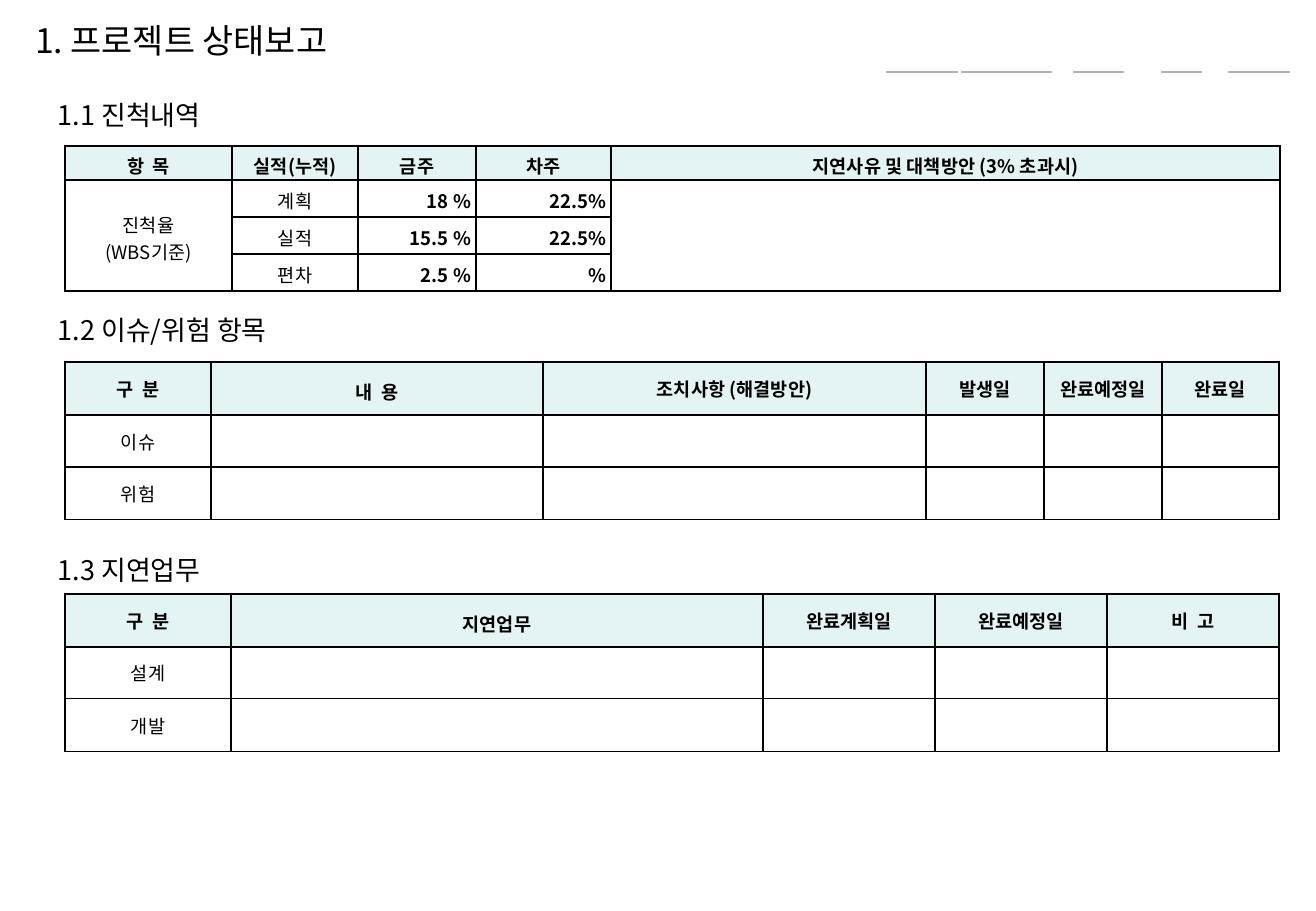
from lxml.etree import SubElement, fromstring
from pptx import Presentation
from pptx.dml.color import RGBColor
from pptx.enum.shapes import MSO_CONNECTOR
from pptx.enum.text import MSO_ANCHOR as ANCHOR, MSO_AUTO_SIZE as FIT, PP_ALIGN as ALIGN
from pptx.oxml.ns import nsdecls, qn
from pptx.util import Emu, Inches, Pt

THEME = {
    "font": "Noto Sans CJK KR",
    "ink": "000000", "header": "E4F4F4", "rule": "B2B2B2",
    "title": 20, "heading": 16, "cell": 11,
    "border": 1, "rule_width": 1.5, "header_tracking": 1.2,
}

TITLE = ("1. 프로젝트 상태보고", (23, 14, 340, 53))
RULE_TOP = 72
RULES = [(886, 958), (961, 1052), (1073, 1124), (1161, 1202), (1228, 1290)]

PROGRESS = {
    "heading": "1.1 진척내역", "heading_top": 92, "table_top": 146,
    "columns": [167, 126, 118, 135, 669], "rows": [34, 37, 37, 37],
    "cells": [
        ["항 목", "실적(누적)", "금주", "차주", "지연사유 및 대책방안 (3% 초과시)"],
        ["진척율\n(WBS기준)", "계획", "18 %", "22.5%", ""],
        ["", "실적", "15.5 %", "22.5%", ""],
        ["", "편차", "2.5 %", "%", ""],
    ],
    "merged": [0, 4], "values": [2, 3], "loose": [],
    "header_insets": (12, 5, 12, 1), "body_insets": (5, 7, 5, 3),
}
ISSUES = {
    "heading": "1.2 이슈/위험 항목", "heading_top": 307, "table_top": 362,
    "columns": [146, 332, 383, 118, 118, 117], "rows": [53, 52, 53],
    "cells": [
        ["구 분", "내 용", "조치사항 (해결방안)", "발생일", "완료예정일", "완료일"],
        ["이슈"] + [""] * 5,
        ["위험"] + [""] * 5,
    ],
    "merged": [], "values": [], "loose": [1],
    "header_insets": (12, 6, 12, 6), "body_insets": (5, 5, 5, 5),
}
DELAYS = {
    **ISSUES,
    "heading": "1.3 지연업무", "heading_top": 547, "table_top": 594,
    "columns": [166, 532, 172, 172, 172],
    "cells": [
        ["구 분", "지연업무", "완료계획일", "완료예정일", "비 고"],
        ["설계"] + [""] * 4,
        ["개발"] + [""] * 4,
    ],
}
SECTIONS = [PROGRESS, ISSUES, DELAYS]
HEADING_LEFT, HEADING_WIDTH, HEADING_HEIGHT = 46, 546, 45
TABLE_LEFT = 65
TEXT_INSETS = (12, 0, 12, 0)


def px(length):
    return Emu(round(length * 914400 / 121.5))


def color(key):
    return RGBColor.from_string(THEME[key])


def write(frame, text, *, size, bold=False, align=ALIGN.LEFT, line_spacing=1.0, tracking=0):
    for index, line in enumerate(text.split("\n")):
        paragraph = frame.add_paragraph() if index else frame.paragraphs[0]
        paragraph.alignment = align
        paragraph.line_spacing = line_spacing
        if line:
            run = paragraph.add_run()
            run.text = line
            run.font.size = Pt(THEME[size])
            run.font.bold = bold
            run.font.name = THEME["font"]
            run.font.color.rgb = color("ink")
            properties = run.font._element
            SubElement(properties, qn("a:ea")).set("typeface", THEME["font"])
            if tracking:
                properties.set("spc", str(round(tracking * 100)))
        else:
            ending = SubElement(paragraph._p, qn("a:endParaRPr"))
            ending.set("sz", str(THEME[size] * 100))


def set_insets(holder, insets):
    sides = ("margin_left", "margin_top", "margin_right", "margin_bottom")
    for side, inset in zip(sides, insets):
        setattr(holder, side, px(inset))


def prepare_frame(frame):
    frame.auto_size = FIT.NONE
    frame.word_wrap = True
    frame.vertical_anchor = ANCHOR.MIDDLE
    set_insets(frame, TEXT_INSETS)
    return frame


def add_borders(cell):
    properties = cell._tc.get_or_add_tcPr()
    for index, side in enumerate(("lnL", "lnR", "lnT", "lnB")):
        properties.insert(index, fromstring(
            f'<a:{side} {nsdecls("a")} w="{Pt(THEME["border"])}"><a:solidFill>'
            f'<a:srgbClr val="{THEME["ink"]}"/></a:solidFill></a:{side}>'))


def add_section(slide, section):
    heading = slide.shapes.add_textbox(
        px(HEADING_LEFT), px(section["heading_top"]), px(HEADING_WIDTH), px(HEADING_HEIGHT))
    write(prepare_frame(heading.text_frame), section["heading"], size="heading")

    columns, rows = section["columns"], section["rows"]
    table = slide.shapes.add_table(
        len(rows), len(columns), px(TABLE_LEFT), px(section["table_top"]),
        px(sum(columns)), px(sum(rows))).table
    table.horz_banding = False
    table.first_row = True
    for column, width in zip(table.columns, columns):
        column.width = px(width)
    for row, height in zip(table.rows, rows):
        row.height = px(height)

    for r, texts in enumerate(section["cells"]):
        for c, text in enumerate(texts):
            cell = table.cell(r, c)
            is_header = r == 0
            is_value = not is_header and c in section["values"]
            write(cell.text_frame, text, size="cell", bold=is_header or is_value,
                  align=ALIGN.RIGHT if is_value else ALIGN.CENTER,
                  line_spacing=1.2 if is_header and c in section["loose"] else 1.0,
                  tracking=THEME["header_tracking"] if is_header and len(text) == 3
                  and " " in text else 0)
            cell.vertical_anchor = ANCHOR.MIDDLE
            set_insets(cell, section["header_insets" if is_header else "body_insets"])
            if is_header:
                cell.fill.solid()
                cell.fill.fore_color.rgb = color("header")
            else:
                cell.fill.background()
            add_borders(cell)
    for c in section["merged"]:
        table.cell(1, c).merge(table.cell(len(rows) - 1, c))


deck = Presentation()
deck.slide_width, deck.slide_height = Inches(10.83), Inches(7.5)
report = deck.slides.add_slide(deck.slide_layouts[5])

title_text, title_box = TITLE
title = report.shapes.title
title.left, title.top, title.width, title.height = map(px, title_box)
write(prepare_frame(title.text_frame), title_text, size="title")

for start, end in RULES:
    rule = report.shapes.add_connector(
        MSO_CONNECTOR.STRAIGHT, px(start), px(RULE_TOP), px(end), px(RULE_TOP))
    rule.line.color.rgb = color("rule")
    rule.line.width = Pt(THEME["rule_width"])
    SubElement(rule._element.spPr, qn("a:effectLst"))

for section in SECTIONS:
    add_section(report, section)

deck.save("out.pptx")
